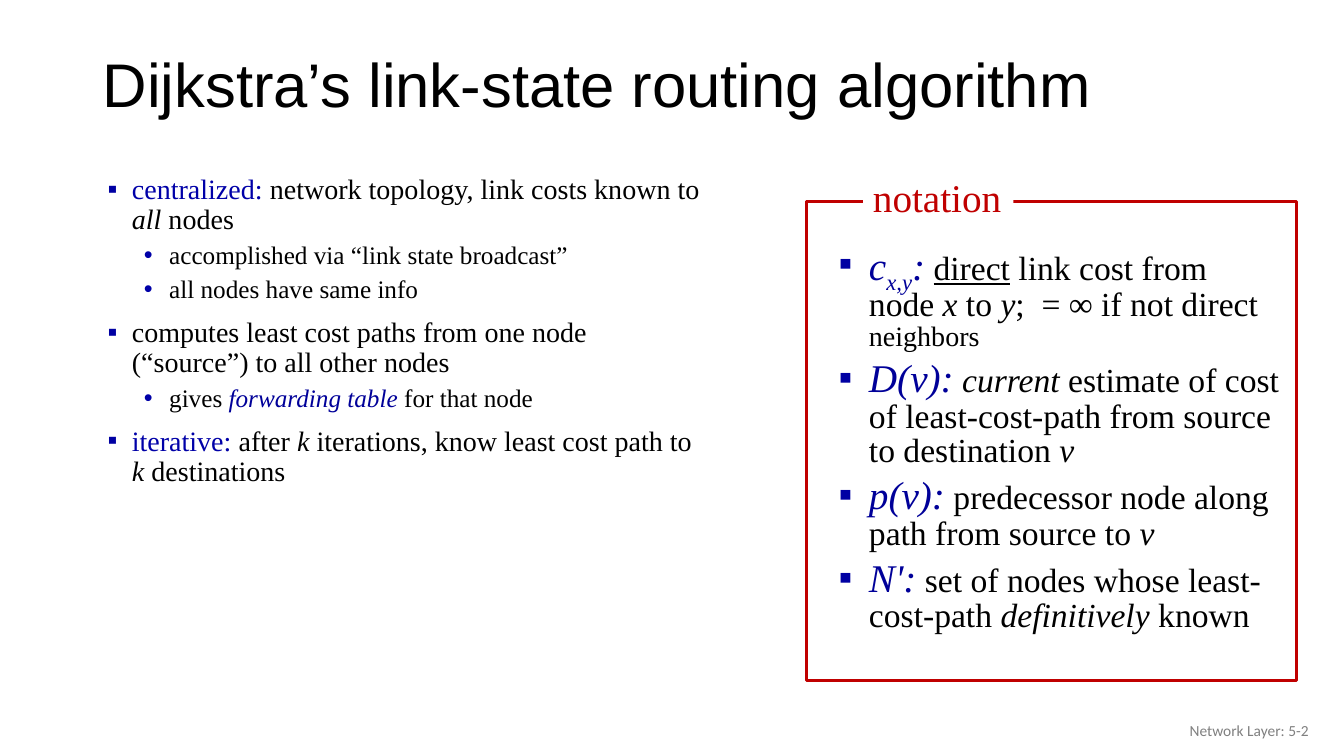
"""Build the slide on Dijkstra's link-state routing algorithm with its notation panel."""
from dataclasses import dataclass

from lxml.etree import SubElement
from pptx import Presentation
from pptx.dml.color import RGBColor
from pptx.enum.shapes import MSO_SHAPE
from pptx.enum.text import MSO_ANCHOR, PP_ALIGN
from pptx.oxml.ns import qn
from pptx.util import Pt

EMU_PER_PX = 9144


@dataclass(frozen=True)
class Theme:
    title_font: str = "Arial"
    body_font: str = "Times New Roman"
    footer_font: str = "Calibri"
    ink: str = "000000"
    paper: str = "FFFFFF"
    term: str = "0000A8"
    symbol: str = "000099"
    square: str = "0000A3"
    frame: str = "C00000"
    footer: str = "808080"
    title_size: int = 44
    symbol_size: int = 28
    notation_size: int = 24
    point_size: int = 20
    detail_size: int = 18
    footer_size: int = 11
    frame_width: float = 2.25


THEME = Theme()

TITLE = "Dijkstra’s link-state routing algorithm"
FOOTER = "Network Layer: 5-2"
LABEL = "notation"

POINTS = [
    ("point", [("centralized: ", "term"), ("network topology, link costs known to ", ""),
               ("all", "italic"), (" nodes", "")]),
    ("detail", [("accomplished via “link state broadcast”", "")]),
    ("detail", [("all nodes have same info", "")]),
    ("point", [("computes least cost paths from one node (“source”) to all other nodes", "")]),
    ("detail", [("gives ", ""), ("forwarding table", "phrase"), (" for that node", "")]),
    ("point", [("iterative: ", "term"), ("after ", ""), ("k", "italic"),
               (" iterations, know least cost path to ", ""), ("k ", "italic"),
               ("destinations", "")]),
]

NOTATION = [
    ("notation", [("c", "symbol"), ("x,y", "subscript"), (":", "symbol"), (" ", "italic"),
                  ("direct", "underline"), (" link cost from node ", ""), ("x", "italic"),
                  (" to ", ""), ("y", "italic"), (";  = ∞ if not direct ", ""),
                  ("neighbors", "small")]),
    ("notation", [("D(v):", "symbol"), (" current", "italic"),
                  (" estimate of cost of least-cost-path from source to destination ", ""),
                  ("v", "italic")]),
    ("notation", [("p(v):", "symbol"), (" ", "italic"),
                  ("predecessor node along path from source to ", ""), ("v", "italic")]),
    ("notation", [("N':", "symbol"), (" ", "italic"),
                  ("set of nodes whose least-cost-path ", ""), ("definitively", "italic"),
                  (" known", "")]),
]

SPAN_STYLES = {
    "": {},
    "italic": {"italic": True},
    "underline": {"underline": True},
    "term": {"color": THEME.term},
    "phrase": {"color": THEME.symbol, "italic": True},
    "symbol": {"color": THEME.symbol, "italic": True, "size": THEME.symbol_size},
    "subscript": {"color": THEME.symbol, "italic": True, "size": THEME.symbol_size,
                  "baseline": -25000},
    "small": {"size": THEME.point_size},
}

LEVELS = {
    "point": dict(depth=0, bullet="▪", color=THEME.square, left=39, hang=24,
                  spacing=0.9, before=10, size=THEME.point_size),
    "detail": dict(depth=1, bullet="•", color=THEME.term, left=76, hang=25,
                   spacing=0.9, before=5, size=THEME.detail_size),
    "notation": dict(depth=0, bullet="▪", color=THEME.square, left=44, hang=30,
                     spacing=0.85, before=6, size=THEME.notation_size),
}

AREAS = {
    "title": (92, 38, 1076, 98),
    "footer": (1008, 705, 300, 40),
    "points": (82, 169, 624, 536),
    "notation": (808, 237, 471, 463),
    "frame": (800, 200, 486, 475),
    "label": (856, 167, 149, 57),
}


def px(length):
    return round(length * EMU_PER_PX)


def place(area):
    return [px(length) for length in AREAS[area]]


def set_font(font, name=None, size=None, color=None, italic=None, underline=None):
    if name:
        font.name = name
    if size:
        font.size = Pt(size)
    if color:
        font.color.rgb = RGBColor.from_string(color)
    if italic:
        font.italic = True
    if underline:
        font.underline = True


def add_box(shapes, area, anchor=MSO_ANCHOR.TOP, wrap=True):
    box = shapes.add_textbox(*place(area))
    box.text_frame.word_wrap = wrap
    box.text_frame.vertical_anchor = anchor
    return box


def write_line(box, text, name, size, color, align=PP_ALIGN.LEFT):
    para = box.text_frame.paragraphs[0]
    para.add_run().text = text
    para.alignment = align
    set_font(para.font, name, size, color)
    return para


def add_bullet(para, level):
    properties = para._p.get_or_add_pPr()
    properties.set("marL", str(px(level["left"])))
    properties.set("indent", str(-px(level["hang"])))
    bullet_color = SubElement(properties, qn("a:buClr"))
    SubElement(bullet_color, qn("a:srgbClr"), val=level["color"])
    SubElement(properties, qn("a:buFont"), typeface=THEME.title_font)
    SubElement(properties, qn("a:buChar"), char=level["bullet"])


def write_list(box, items):
    frame = box.text_frame
    for index, (level_name, spans) in enumerate(items):
        para = frame.add_paragraph() if index else frame.paragraphs[0]
        level = LEVELS[level_name]
        add_bullet(para, level)
        para.level = level["depth"]
        para.line_spacing = level["spacing"]
        if index:
            para.space_before = Pt(level["before"])
        set_font(para.font, THEME.body_font, level["size"], THEME.ink)
        for text, style_name in spans:
            span = para.add_run()
            span.text = text
            style = dict(SPAN_STYLES[style_name])
            baseline = style.pop("baseline", None)
            set_font(span.font, **style)
            if baseline:
                span._r.get_or_add_rPr().set("baseline", str(baseline))


def add_notation_panel(page):
    shapes = page.shapes.add_group_shape().shapes
    write_list(add_box(shapes, "notation"), NOTATION)
    frame = shapes.add_shape(MSO_SHAPE.RECTANGLE, *place("frame"))
    frame.shadow.inherit = False
    frame.fill.background()
    frame.line.color.rgb = RGBColor.from_string(THEME.frame)
    frame.line.width = Pt(THEME.frame_width)
    label = add_box(shapes, "label", wrap=False)
    label.fill.solid()
    label.fill.fore_color.rgb = RGBColor.from_string(THEME.paper)
    write_line(label, LABEL, THEME.body_font, THEME.symbol_size, THEME.frame)


def main():
    deck = Presentation()
    deck.slide_width, deck.slide_height = px(1333), px(750)
    page = deck.slides.add_slide(deck.slide_layouts[6])
    title = add_box(page.shapes, "title", MSO_ANCHOR.MIDDLE)
    heading = write_line(title, TITLE, THEME.title_font, THEME.title_size, THEME.ink)
    heading.line_spacing = 0.9
    footer = add_box(page.shapes, "footer", MSO_ANCHOR.MIDDLE)
    write_line(footer, FOOTER, THEME.footer_font, THEME.footer_size, THEME.footer,
               PP_ALIGN.RIGHT)
    write_list(add_box(page.shapes, "points"), POINTS)
    add_notation_panel(page)
    deck.save("out.pptx")


if __name__ == "__main__":
    main()
